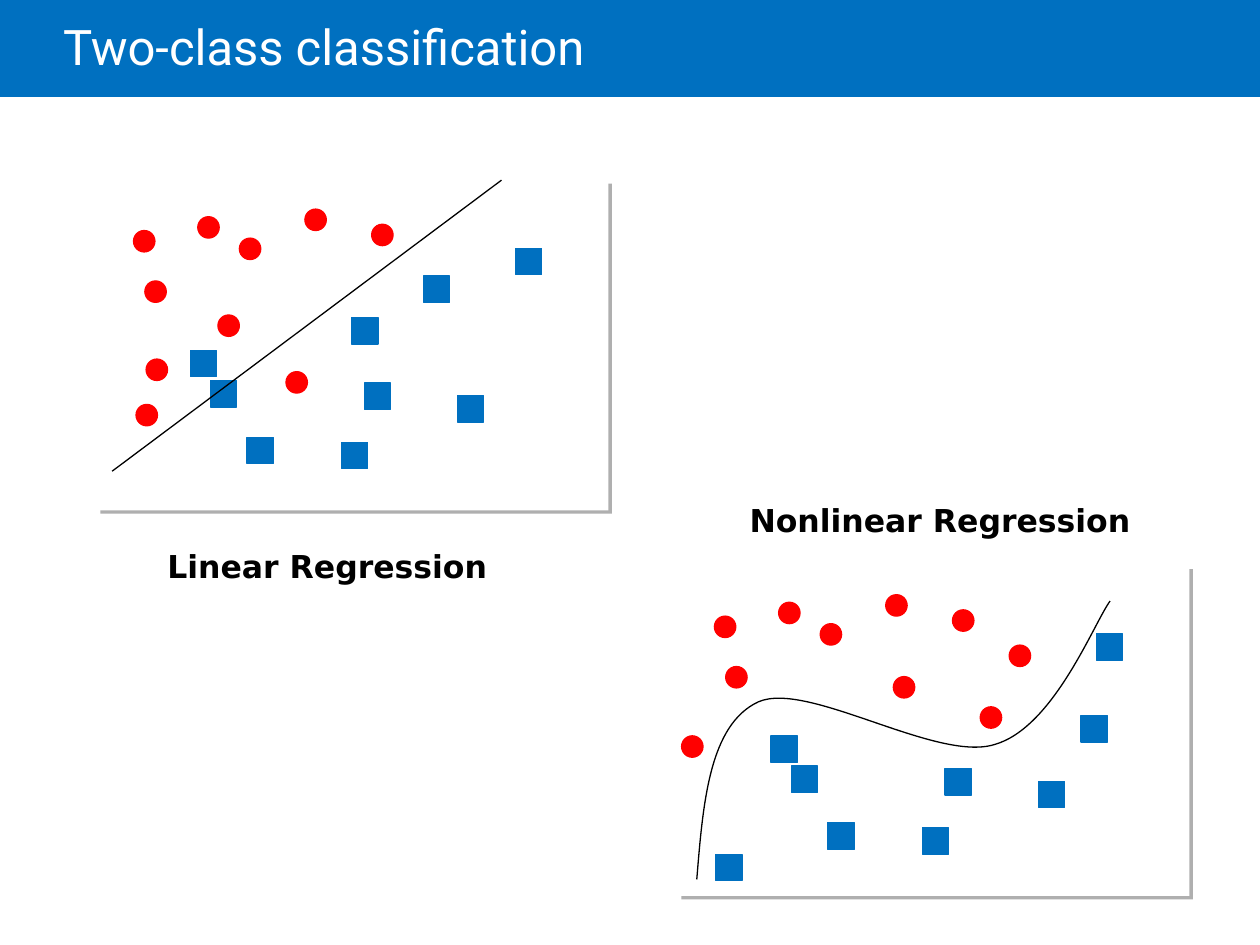
from lxml import etree
from pptx import Presentation
from pptx.dml.color import RGBColor
from pptx.enum.shapes import MSO_CONNECTOR as CONN, MSO_SHAPE as SHAPE
from pptx.enum.text import MSO_ANCHOR as ANCHOR, MSO_AUTO_SIZE as AUTO, PP_ALIGN as ALIGN
from pptx.oxml.ns import qn
from pptx.util import Inches, Pt

BLUE = RGBColor(0x00, 0x70, 0xC0)
RED = RGBColor(0xFF, 0x00, 0x00)
BLACK = RGBColor(0x00, 0x00, 0x00)
WHITE = RGBColor(0xFF, 0xFF, 0xFF)
GRAY = RGBColor(0xAF, 0xAF, 0xAF)

PANEL_W, PANEL_H = 4.06, 2.62
DOT, SQUARE = 0.17, 0.21

SHARED_DOTS = [(0.29, 0.4), (0.38, 0.8), (0.8, 0.29), (1.13, 0.46), (1.65, 0.23), (2.18, 0.35)]
SHARED_SQUARES = [(0.74, 1.35), (0.9, 1.59), (2.86, 1.71), (1.19, 2.04),
                  (2.12, 1.61), (1.94, 2.08), (3.32, 0.54)]
LINEAR_DOTS = SHARED_DOTS + [(0.39, 1.42), (0.96, 1.07), (1.5, 1.52), (0.31, 1.78)]
LINEAR_SQUARES = SHARED_SQUARES + [(2.59, 0.76), (2.02, 1.09)]
NONLINEAR_DOTS = SHARED_DOTS + [(1.71, 0.88), (2.63, 0.63), (2.4, 1.12), (0.03, 1.35)]
NONLINEAR_SQUARES = SHARED_SQUARES + [(0.3, 2.29), (3.2, 1.19)]
LINE_ENDS = [(0.12, 2.31), (3.21, 0)]
CURVE = [(0.15, 2.49), (0.2, 1.88), (0.25, 1.26), (0.64, 1.08), (1.03, 0.91),
         (2.05, 1.56), (2.51, 1.42), (2.98, 1.29), (3.3, 0.46), (3.43, 0.28)]


def add_run(p, text, size, font, color, bold=False):
    """Add one formatted run to a paragraph."""
    r = p.add_run()
    r.text = text
    r.font.size, r.font.name, r.font.bold = Pt(size), font, bold
    r.font.color.rgb = color


def add_filled(shapes, kind, x, y, w, h, fill, line=None):
    """Add a flat preset shape with an optional thin outline."""
    sp = shapes.add_shape(kind, Inches(x), Inches(y), Inches(w), Inches(h))
    sp.shadow.inherit = False
    sp.fill.solid()
    sp.fill.fore_color.rgb = fill
    if line is None:
        sp.line.fill.background()
    else:
        sp.line.color.rgb = line
        sp.line.width = Pt(0.75)
    return sp


def add_header(s, text):
    """Place the title on a full-width band behind it."""
    band = add_filled(s.shapes, SHAPE.RECTANGLE, 0, 0, 10, 0.77, BLUE)
    s.shapes._spTree.insert(2, band._element)
    title = s.shapes.title
    title.left, title.top, title.width, title.height = map(Inches, (0.5, 0, 8.5, 0.81))
    tf = title.text_frame
    tf.word_wrap, tf.auto_size = True, AUTO.NONE
    tf.vertical_anchor = ANCHOR.MIDDLE
    tf.margin_left = 0
    p = tf.paragraphs[0]
    p.alignment, p.line_spacing = ALIGN.LEFT, 0.85
    add_run(p, text, 28, "Roboto", WHITE)


def add_panel(s, x, y, dots, squares):
    """Add a grouped scatter panel with a hard shadow and return its shapes."""
    shapes = s.shapes.add_group_shape().shapes
    panel = add_filled(shapes, SHAPE.RECTANGLE, x, y, PANEL_W, PANEL_H, WHITE)
    effects = panel._element.spPr.find(qn("a:effectLst"))
    shadow = etree.SubElement(effects, qn("a:outerShdw"), dist=str(Pt(2.8)),
                              dir="2700000", algn="ctr", rotWithShape="0")
    etree.SubElement(shadow, qn("a:srgbClr"), val=str(GRAY))
    for kind, size, color, points in ((SHAPE.OVAL, DOT, RED, dots),
                                      (SHAPE.RECTANGLE, SQUARE, BLUE, squares)):
        for dx, dy in points:
            add_filled(shapes, kind, x + dx, y + dy, size, size, color, color)
    return shapes


def add_straight_boundary(shapes, x, y, ends):
    """Draw a straight class boundary inside a panel."""
    (x1, y1), (x2, y2) = ends
    line = shapes.add_connector(CONN.STRAIGHT, Inches(x + x1), Inches(y + y1),
                                Inches(x + x2), Inches(y + y2))
    line.line.color.rgb = BLACK
    line.line.width = Pt(0.75)
    etree.SubElement(line._element.spPr, qn("a:effectLst"))


def add_curved_boundary(shapes, x, y, points):
    """Draw a cubic Bézier class boundary inside a panel."""
    start, *rest = [(Inches(x + dx), Inches(y + dy)) for dx, dy in points]
    builder = shapes.build_freeform(*start)
    builder.add_line_segments(rest, close=False)
    curve = builder.convert_to_shape()
    curve.shadow.inherit = False
    curve.fill.background()
    curve.line.color.rgb = BLACK
    curve.line.width = Pt(0.75)
    segments = list(curve._element.iter(qn("a:lnTo")))
    outline = segments[0].getparent()
    for i in range(0, len(segments), 3):
        bezier = etree.SubElement(outline, qn("a:cubicBezTo"))
        for segment in segments[i:i + 3]:
            bezier.append(segment[0])
            outline.remove(segment)


def add_caption(s, x, y, w, text):
    """Add a bold panel caption."""
    box = s.shapes.add_textbox(Inches(x), Inches(y), Inches(w), Inches(0.4))
    tf = box.text_frame
    tf.word_wrap, tf.auto_size = False, AUTO.SHAPE_TO_FIT_TEXT
    add_run(tf.paragraphs[0], text, 18, "DejaVu Sans", BLACK, bold=True)


def add_linear(s, x, y):
    """Place the linear example with its caption below."""
    shapes = add_panel(s, x, y, LINEAR_DOTS, LINEAR_SQUARES)
    add_straight_boundary(shapes, x, y, LINE_ENDS)
    add_caption(s, x + 0.46, y + 2.86, 2.75, "Linear Regression")


def add_nonlinear(s, x, y):
    """Place the nonlinear example with its caption above."""
    shapes = add_panel(s, x, y, NONLINEAR_DOTS, NONLINEAR_SQUARES)
    add_curved_boundary(shapes, x, y, CURVE)
    add_caption(s, x + 0.47, y - 0.56, 3.28, "Nonlinear Regression")


def main():
    """Build and save the slide."""
    prs = Presentation()
    prs.slide_width, prs.slide_height = Inches(10), Inches(7.5)
    s = prs.slides.add_slide(prs.slide_layouts[5])
    add_header(s, "Two-class classification")
    add_linear(s, 0.77, 1.43)
    add_nonlinear(s, 5.38, 4.49)
    prs.save("out.pptx")


if __name__ == "__main__":
    main()
